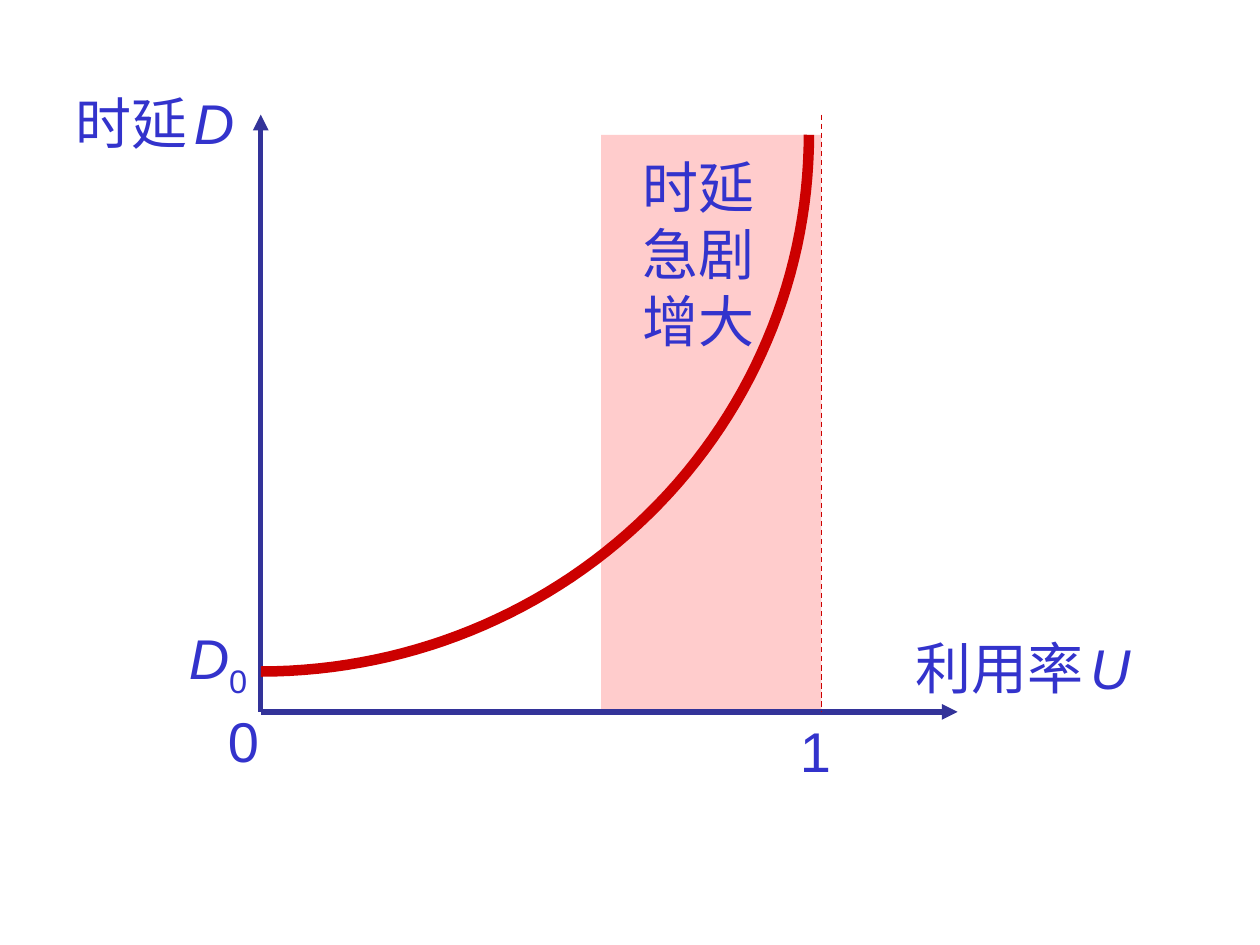
from dataclasses import dataclass
from math import cos, pi, sin

from lxml.etree import SubElement
from pptx import Presentation
from pptx.dml.color import RGBColor
from pptx.enum.dml import MSO_LINE
from pptx.enum.shapes import MSO_CONNECTOR, MSO_SHAPE
from pptx.enum.text import MSO_AUTO_SIZE
from pptx.oxml.ns import qn
from pptx.util import Inches, Pt

COLORS = {"text": "3333CC", "axis": "333399", "curve": "CC0000", "zone": "FFCCCC"}
ORIGIN_X, ORIGIN_Y = 2.07, 5.65
AXIS_TOP, AXIS_RIGHT = 0.91, 7.6
LIMIT_X = 6.52
ZONE_LEFT, ZONE_TOP = 4.77, 1.07
CURVE_WIDTH, CURVE_HEIGHT = 4.35, 4.26
CURVE_STEPS = 60


@dataclass(frozen=True)
class Span:
    text: str
    size: int = 32
    italic: bool = False
    subscript: bool = False


@dataclass(frozen=True)
class Label:
    left: float
    top: float
    width: float
    height: float
    paragraphs: tuple[tuple[Span, ...], ...]


SPACE = Span(" ", size=16)
LABELS = (
    Label(0.5, 0.65, 1.55, 0.64, ((Span("时延"), SPACE, Span("D", italic=True)),)),
    Label(7.17, 4.98, 2, 0.64, ((Span("利用率"), SPACE, Span("U", italic=True)),)),
    Label(6.25, 5.64, 0.47, 0.64, ((Span("1"),),)),
    Label(1.71, 5.56, 0.47, 0.64, ((Span("0"),),)),
    Label(1.4, 4.9, 0.7, 0.71, ((Span("D", italic=True), Span("0", subscript=True)),)),
    Label(5, 1.16, 1.12, 1.7, ((Span("时延"),), (Span("急剧"),), (Span("增大"),))),
)


def rgb(name: str) -> RGBColor:
    return RGBColor.from_string(COLORS[name])


def add_span(paragraph, text: str, *, size: int, italic: bool, subscript: bool) -> None:
    run = paragraph.add_run()
    run.text = text
    run.font.name = "Arial"
    run.font.size = Pt(size)
    run.font.italic = italic
    run.font.color.rgb = rgb("text")
    if subscript:
        run.font._element.set("baseline", "-25000")


def add_label(page, label: Label) -> None:
    box = page.shapes.add_textbox(
        Inches(label.left), Inches(label.top), Inches(label.width), Inches(label.height)
    )
    frame = box.text_frame
    frame.word_wrap = False
    frame.auto_size = MSO_AUTO_SIZE.SHAPE_TO_FIT_TEXT
    for index, spans in enumerate(label.paragraphs):
        paragraph = frame.add_paragraph() if index else frame.paragraphs[0]
        for span in spans:
            add_span(paragraph, span.text, size=span.size, italic=span.italic,
                     subscript=span.subscript)


def add_line(page, start: tuple[float, float], end: tuple[float, float], *, color: str,
             width: float, arrow: bool = False, dashed: bool = False) -> None:
    line = page.shapes.add_connector(
        MSO_CONNECTOR.STRAIGHT, *(Inches(value) for value in (*start, *end))
    )
    line.line.color.rgb = rgb(color)
    line.line.width = Pt(width)
    if dashed:
        line.line.dash_style = MSO_LINE.DASH
    if arrow:
        SubElement(line.line._get_or_add_ln(), qn("a:tailEnd"), type="triangle")
    SubElement(line._element.spPr, qn("a:effectLst"))


def add_zone(page) -> None:
    zone = page.shapes.add_shape(
        MSO_SHAPE.RECTANGLE, Inches(ZONE_LEFT), Inches(ZONE_TOP),
        Inches(LIMIT_X - ZONE_LEFT), Inches(ORIGIN_Y - ZONE_TOP),
    )
    zone.shadow.inherit = False
    zone.fill.solid()
    zone.fill.fore_color.rgb = rgb("zone")
    zone.line.fill.background()


def add_delay_curve(page) -> None:
    """Draw a quarter ellipse rising from D0 on the delay axis."""
    angles = [pi / 2 * step / CURVE_STEPS for step in range(CURVE_STEPS + 1)]
    points = [
        (Inches(ORIGIN_X + CURVE_WIDTH * sin(angle)),
         Inches(ZONE_TOP + CURVE_HEIGHT * cos(angle)))
        for angle in angles
    ]
    builder = page.shapes.build_freeform(*points[0])
    builder.add_line_segments(points[1:], close=False)
    curve = builder.convert_to_shape()
    curve.shadow.inherit = False
    curve.fill.background()
    curve.line.color.rgb = rgb("curve")
    curve.line.width = Pt(6)


def main() -> None:
    deck = Presentation()
    deck.slide_width, deck.slide_height = Inches(10), Inches(7.5)
    page = deck.slides.add_slide(deck.slide_layouts[6])
    add_zone(page)
    origin = (ORIGIN_X, ORIGIN_Y)
    for tip in ((ORIGIN_X, AXIS_TOP), (AXIS_RIGHT, ORIGIN_Y)):
        add_line(page, origin, tip, color="axis", width=3, arrow=True)
    add_line(page, (LIMIT_X, AXIS_TOP), (LIMIT_X, ORIGIN_Y), color="curve", width=0.75,
             dashed=True)
    add_delay_curve(page)
    for label in LABELS:
        add_label(page, label)
    deck.save("out.pptx")


if __name__ == "__main__":
    main()
